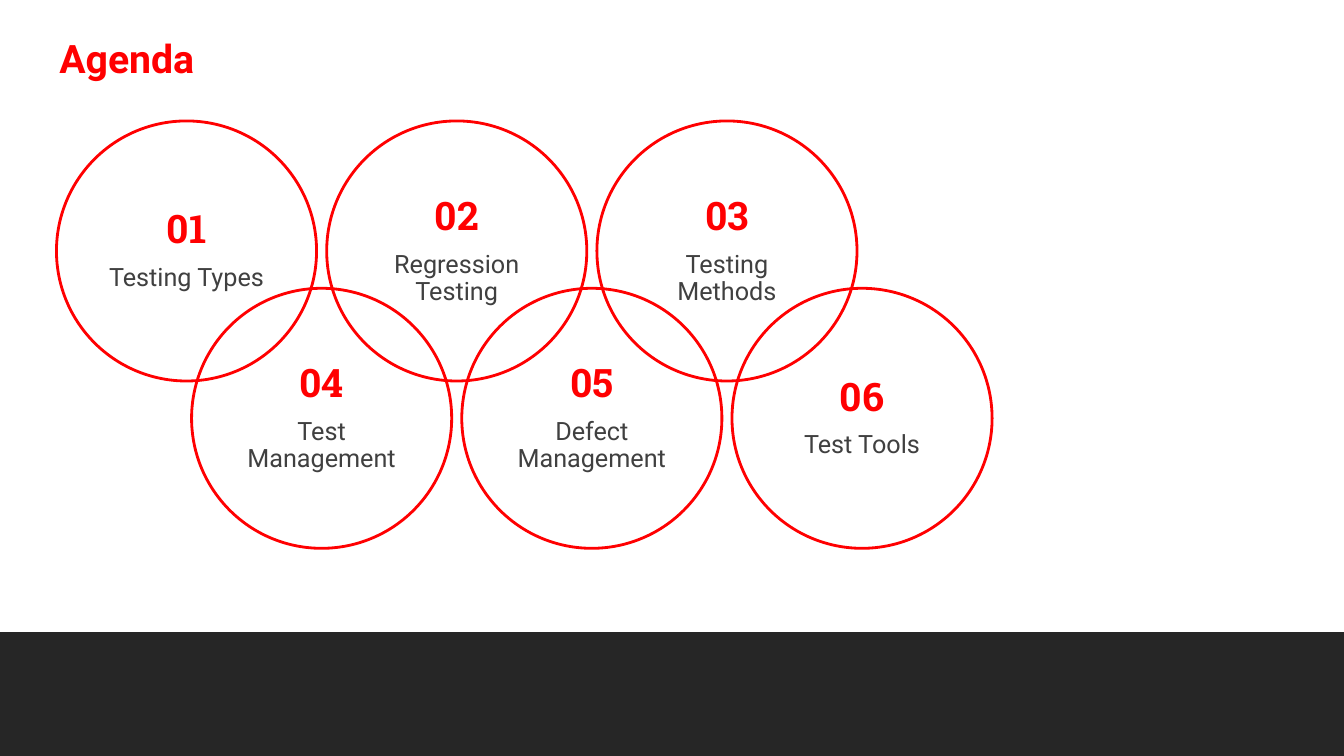
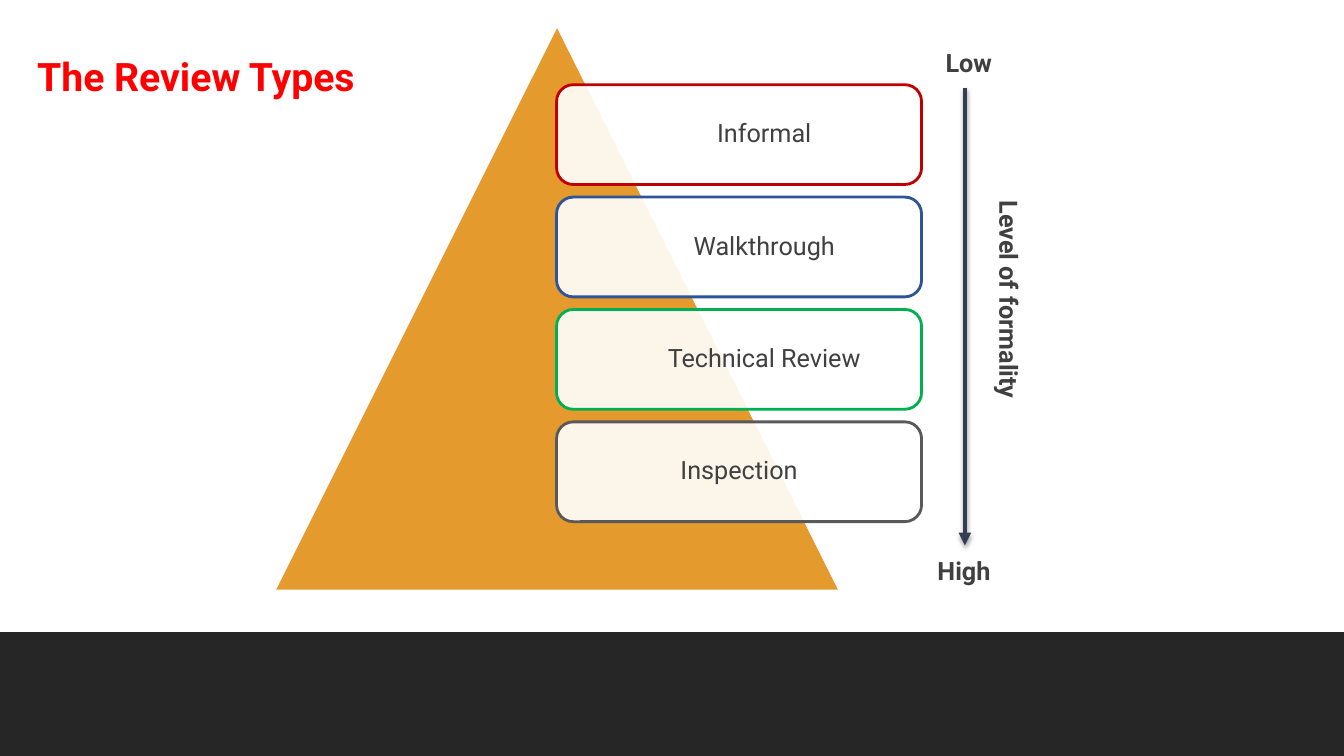
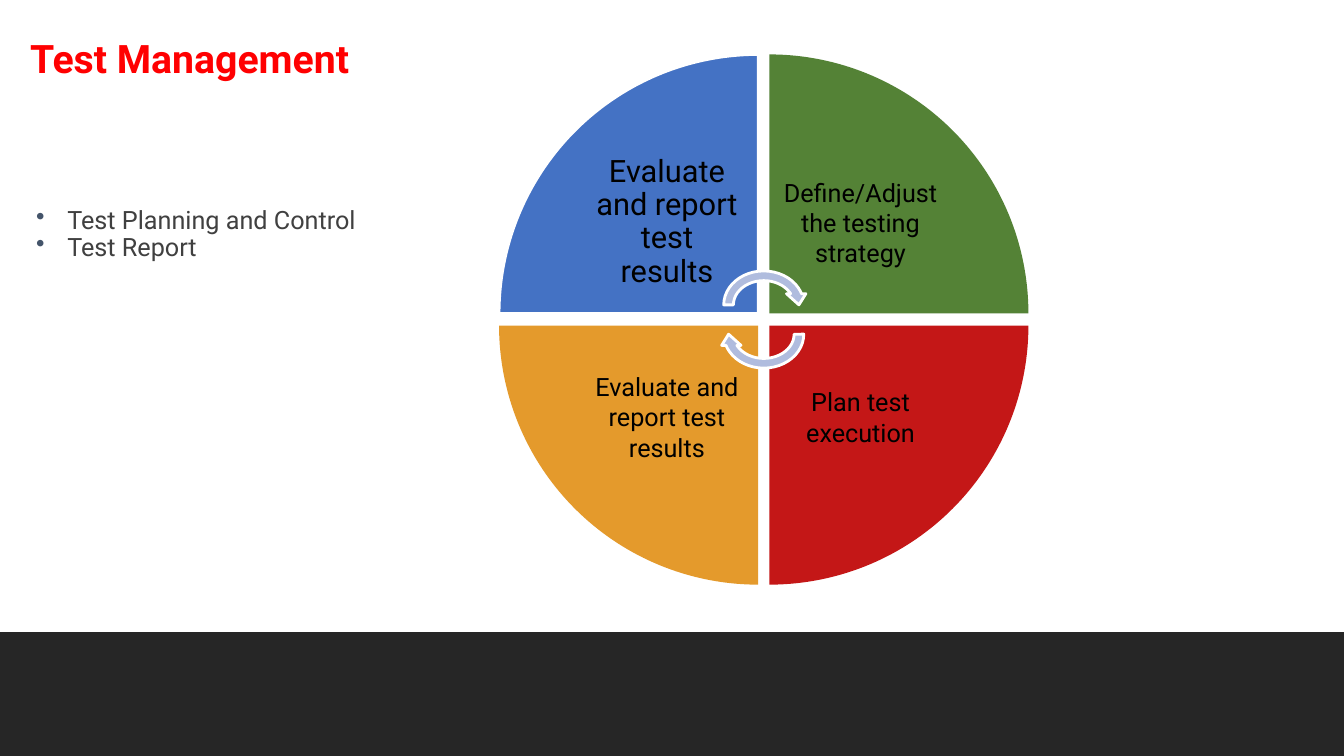
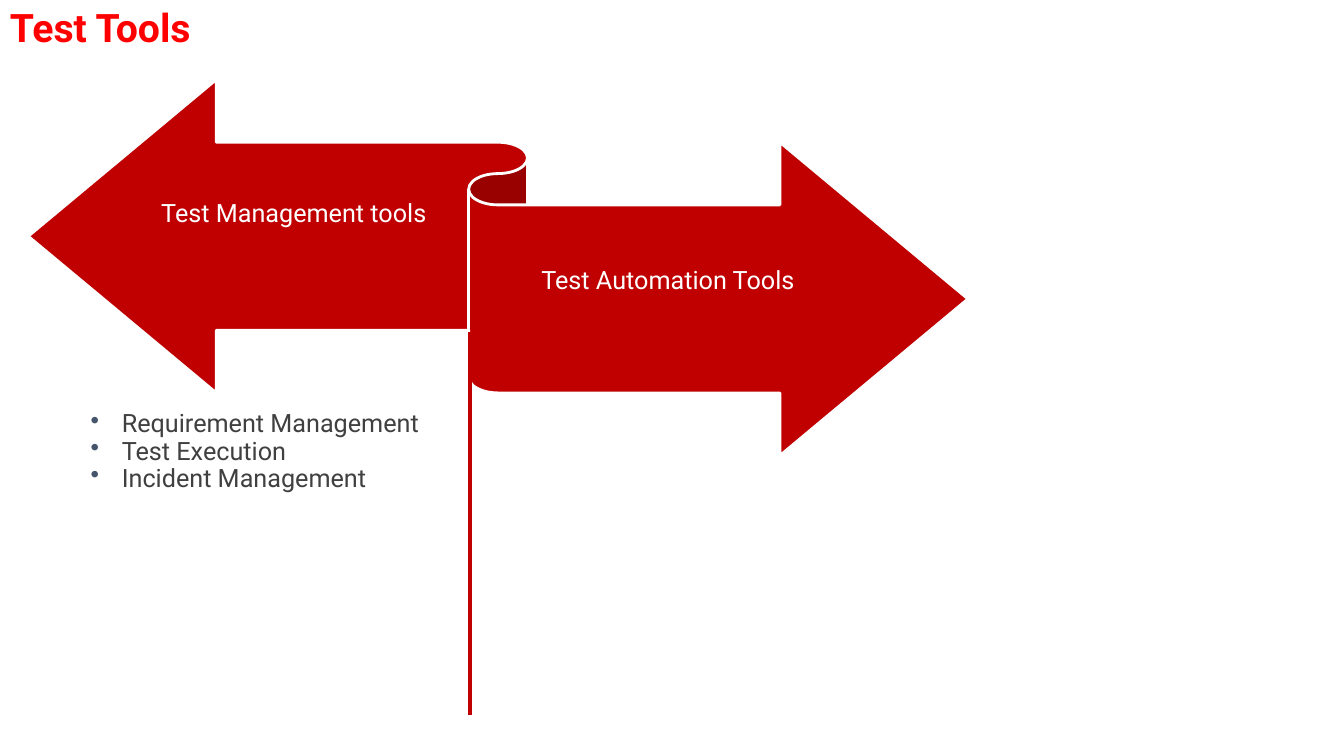
from lxml.etree import SubElement
from pptx import Presentation
from pptx.dml.color import RGBColor
from pptx.enum.shapes import MSO_CONNECTOR, MSO_SHAPE
from pptx.enum.text import MSO_ANCHOR, PP_ALIGN
from pptx.oxml.ns import qn
from pptx.util import Inches, Pt

RED = "FF0001"
CRIMSON = "C00000"
ORANGE = "E49A2C"
GRAY = "404040"
WHITE = "FFFFFF"
BLACK = "000000"
DARK = "262626"


def paint(sp, fill=None, line=None):
    sp.shadow.inherit = False
    if fill:
        sp.fill.solid()
        sp.fill.fore_color.rgb = RGBColor.from_string(fill)
    else:
        sp.fill.background()
    if line:
        sp.line.color.rgb = RGBColor.from_string(line)
        sp.line.width = Pt(2)
    else:
        sp.line.fill.background()


def write(sp, lines, size=18, color=GRAY, bold=False, align=PP_ALIGN.LEFT,
          anchor=MSO_ANCHOR.TOP, inset=(0.1, 0.05), spacing=1.0, bullet=False):
    tf = sp.text_frame
    tf.word_wrap = True
    tf.vertical_anchor = anchor
    tf.margin_left = tf.margin_right = Inches(inset[0])
    tf.margin_top = tf.margin_bottom = Inches(inset[1])
    for i, line in enumerate(lines):
        p = tf.add_paragraph() if i else tf.paragraphs[0]
        p.alignment = align
        p.line_spacing = spacing
        if bullet:
            pPr = p._p.get_or_add_pPr()
            pPr.set("marL", str(Inches(0.31)))
            pPr.set("indent", str(Inches(-0.31)))
            SubElement(SubElement(pPr, qn("a:buClr")), qn("a:srgbClr")).set("val", "44546A")
            SubElement(pPr, qn("a:buChar")).set("char", "•")
        r = p.add_run()
        r.text = line
        r.font.name = "Roboto"
        r.font.size = Pt(size)
        r.font.bold = bold
        r.font.color.rgb = RGBColor.from_string(color)


prs = Presentation()
prs.slide_width = Inches(13.33)
prs.slide_height = Inches(7.5)

for title, left, top, has_band in [
    ("Agenda", 0.49, 0.3, True),
    ("The Review Types", 0.27, 0.48, True),
    ("Test Management", 0.2, 0.3, True),
    ("Test Tools", 0, 0, False),
]:
    s = prs.slides.add_slide(prs.slide_layouts[6])
    sp = s.shapes.add_textbox(Inches(left), Inches(top), Inches(7.5), Inches(0.6))
    write(sp, [title], 28, RED, True, anchor=MSO_ANCHOR.MIDDLE, spacing=0.9)
    if has_band:
        sp = s.shapes.add_shape(MSO_SHAPE.RECTANGLE, 0, Inches(6.28), prs.slide_width, Inches(1.22))
        paint(sp, DARK, DARK)

agenda, reviews, management, tools = prs.slides

for i, (number, topic) in enumerate([
    ("01", "Testing Types"),
    ("04", "Test Management"),
    ("02", "Regression Testing"),
    ("05", "Defect Management"),
    ("03", "Testing Methods"),
    ("06", "Test Tools"),
]):
    sp = agenda.shapes.add_shape(MSO_SHAPE.OVAL, Inches(0.56 + 1.34 * i), Inches(1.2 + 1.66 * (i % 2)),
                                 Inches(2.58), Inches(2.58))
    paint(sp, line=RED)
    write(sp, [number, topic], align=PP_ALIGN.CENTER, anchor=MSO_ANCHOR.MIDDLE,
          inset=(0.12, 0.12), spacing=0.9)
    p = sp.text_frame.paragraphs[0]
    p.space_after = Pt(9)
    r = p.runs[0]
    r.font.name = "Roboto Slab"
    r.font.size = Pt(28)
    r.font.bold = True
    r.font.color.rgb = RGBColor.from_string(RED)

sp = reviews.shapes.add_shape(MSO_SHAPE.ISOSCELES_TRIANGLE, Inches(2.74), Inches(0.28), Inches(5.57), Inches(5.57))
paint(sp, ORANGE)
for i, (review, color, indent) in enumerate([
    ("Informal", CRIMSON, 0.5),
    ("Walkthrough", "2F5597", 0.5),
    ("Technical Review", "00B050", 0.5),
    ("Inspection", "595959", 0),
]):
    sp = reviews.shapes.add_shape(MSO_SHAPE.ROUNDED_RECTANGLE, Inches(5.52), Inches(0.84 + 1.115 * i),
                                  Inches(3.62), Inches(0.99))
    paint(sp, WHITE, color)
    SubElement(sp._element.spPr.find(qn("a:solidFill"))[0], qn("a:alpha")).set("val", "90000")
    write(sp, [review], align=PP_ALIGN.CENTER, anchor=MSO_ANCHOR.MIDDLE, inset=(0.04, 0.04), spacing=0.9)
    sp.text_frame.margin_left = Inches(0.04 + indent)

arrow = reviews.shapes.add_connector(MSO_CONNECTOR.STRAIGHT, Inches(9.57), Inches(0.87), Inches(9.57), Inches(5.41))
arrow.line.color.rgb = RGBColor.from_string("333F50")
arrow.line.width = Pt(3)
SubElement(arrow.line._get_or_add_ln(), qn("a:tailEnd")).set("type", "triangle")
shadow = SubElement(SubElement(arrow._element.spPr, qn("a:effectLst")), qn("a:outerShdw"))
for key, value in [("blurRad", Pt(3.1)), ("dist", Pt(1.8)), ("dir", 5400000), ("rotWithShape", 0)]:
    shadow.set(key, str(value))
tint = SubElement(shadow, qn("a:srgbClr"))
tint.set("val", BLACK)
SubElement(tint, qn("a:alpha")).set("val", "35000")

for label, left, top, width, rotation in [
    ("Low", 9.28, 0.42, 0.8, 0),
    ("High", 9.2, 5.46, 0.8, 0),
    ("Level of formality", 8.86, 2.84, 2.3, 90),
]:
    sp = reviews.shapes.add_textbox(Inches(left), Inches(top), Inches(width), Inches(0.4))
    sp.rotation = rotation
    write(sp, [label], bold=True)

sp = management.shapes.add_textbox(Inches(0.26), Inches(2.01), Inches(4.4), Inches(0.7))
write(sp, ["Test Planning and Control", "Test Report"], spacing=0.9, bullet=True)

for i, (step, color, line, col, row, size, inset, spacing) in enumerate([
    ("Evaluate and report test results", "4472C4", WHITE, 0, 0, 22, 0.17, 0.9),
    ("Define/Adjust the testing strategy", "548236", None, 1, 0, 18, 0.14, 1.0),
    ("Plan test execution", "C41717", None, 1, 1, 18, 0.14, 1.0),
    ("Evaluate and report test results", ORANGE, None, 0, 1, 18, 0.14, 1.0),
]):
    left, top = 4.95 + 2.68 * col, 0.54 + 2.69 * row
    sp = management.shapes.add_shape(MSO_SHAPE.PIE_WEDGE, Inches(left), Inches(top), Inches(2.57), Inches(2.57))
    sp.rotation = 90 * i
    paint(sp, color, line)
    sp = management.shapes.add_textbox(Inches(left + 0.76 * (1 - col)), Inches(top + 0.76 * (1 - row)),
                                       Inches(1.81), Inches(1.81))
    write(sp, [step], size, BLACK, align=PP_ALIGN.CENTER, anchor=MSO_ANCHOR.MIDDLE,
          inset=(inset, inset), spacing=spacing)

for top, rotation in [(2.64, 0), (2.93, 180)]:
    sp = management.shapes.add_shape(MSO_SHAPE.CIRCULAR_ARROW, Inches(7.13), Inches(top), Inches(0.89), Inches(0.77))
    sp.rotation = rotation
    paint(sp, "B0BCDE", WHITE)

sp = tools.shapes.add_shape(MSO_SHAPE.LEFT_RIGHT_RIBBON, Inches(0.28), Inches(0.79), Inches(9.32), Inches(3.73))
paint(sp, CRIMSON, WHITE)
for label, left, top, width in [
    ("Test Management tools", 1.38, 1.21, 3.07),
    ("Test Automation Tools", 4.81, 1.88, 3.63),
]:
    sp = tools.shapes.add_textbox(Inches(left), Inches(top), Inches(width), Inches(1.83))
    write(sp, [label], color=WHITE, align=PP_ALIGN.CENTER, anchor=MSO_ANCHOR.MIDDLE,
          inset=(0, 0.07), spacing=0.9)

stem = tools.shapes.add_connector(MSO_CONNECTOR.STRAIGHT, Inches(4.66), Inches(3.29), Inches(4.66), Inches(7.09))
stem.line.color.rgb = RGBColor.from_string(CRIMSON)
stem.line.width = Pt(3)
SubElement(stem._element.spPr, qn("a:effectLst"))

sp = tools.shapes.add_textbox(Inches(0.8), Inches(4.03), Inches(3.7), Inches(1.15))
write(sp, ["Requirement Management", "Test Execution", "Incident Management"], spacing=0.9, bullet=True)

prs.save("out.pptx")
